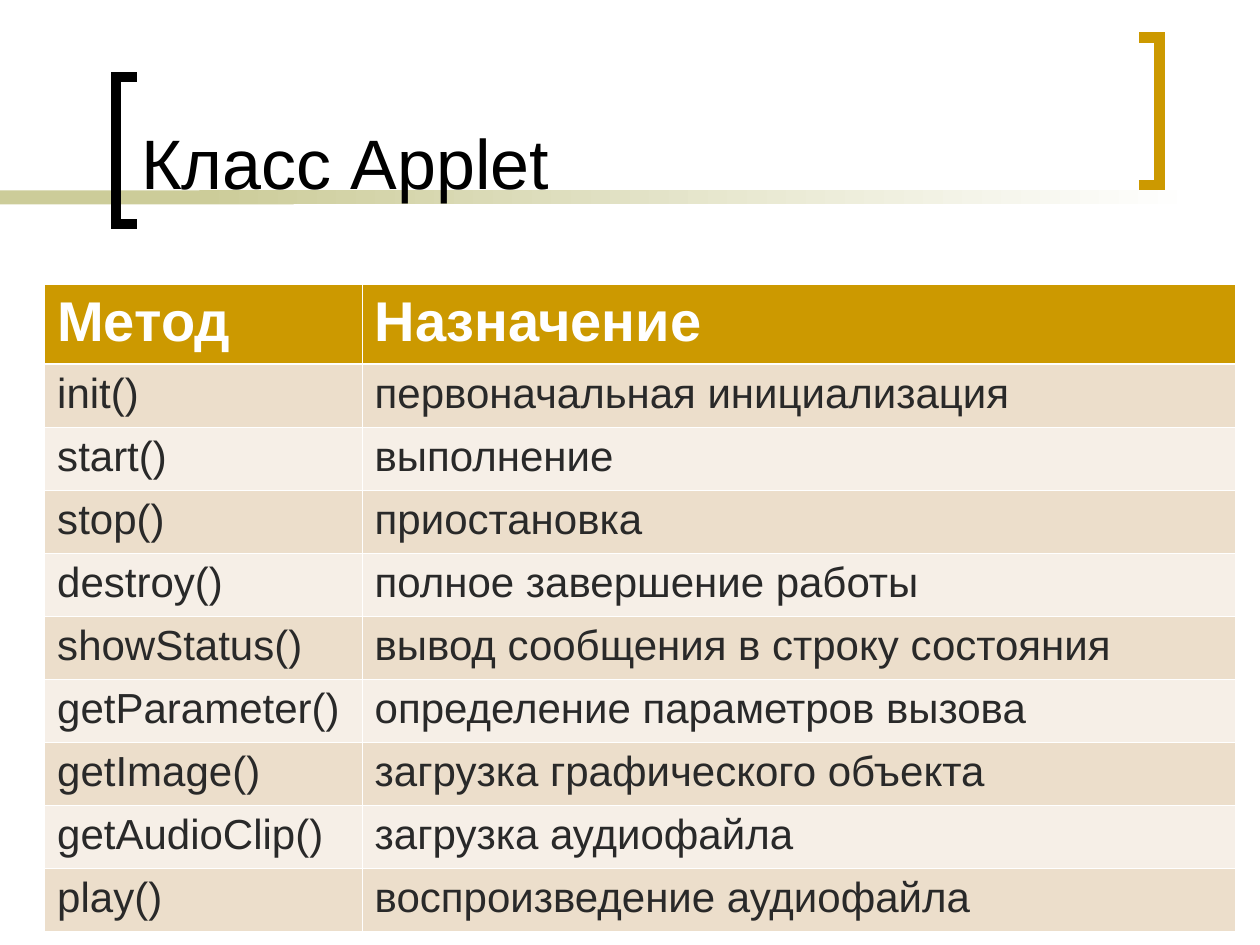
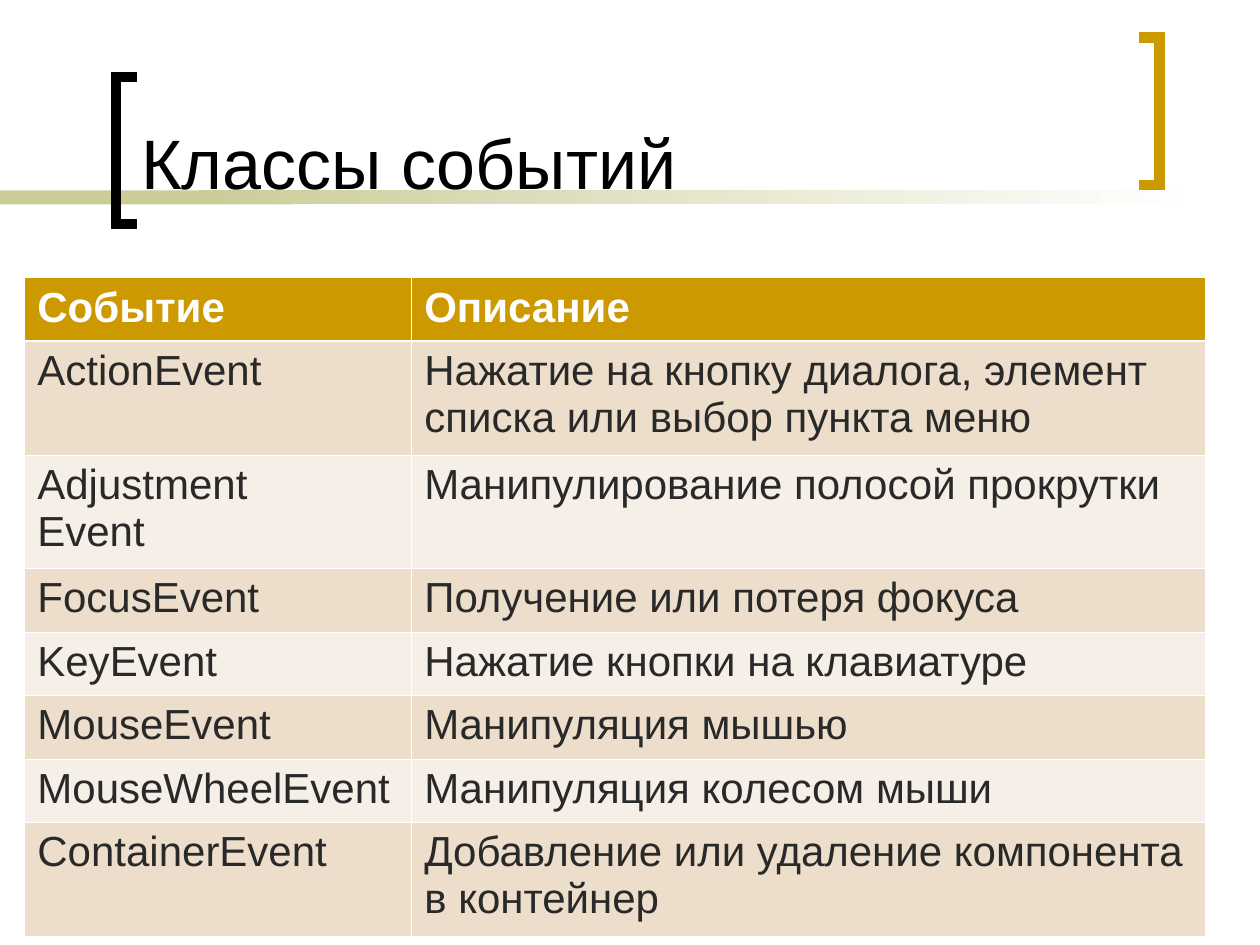
"""Build two slides of Java class tables in a shared bracketed title style."""
from lxml import etree
from pptx import Presentation
from pptx import util as u
from pptx.dml.color import RGBColor
from pptx.enum import shapes, text
from pptx.oxml import ns

BLACK = RGBColor(0x00, 0x00, 0x00)
WHITE = RGBColor(0xFF, 0xFF, 0xFF)
GOLD = RGBColor(0xCC, 0x99, 0x00)
OLIVE = RGBColor(0xCC, 0xCC, 0x99)
INK = RGBColor(0x29, 0x29, 0x29)
SAND = RGBColor(0xEC, 0xDE, 0xCB)
CREAM = RGBColor(0xF6, 0xEF, 0xE7)
FONT = "Arial"
THIN, THICK = 0.45, 1.47

METHODS = [
    ("Метод", "Назначение"),
    ("init()", "первоначальная инициализация"),
    ("start()", "выполнение"),
    ("stop()", "приостановка"),
    ("destroy()", "полное завершение работы"),
    ("showStatus()", "вывод сообщения в строку состояния"),
    ("getParameter()", "определение параметров вызова"),
    ("getImage()", "загрузка графического объекта"),
    ("getAudioClip()", "загрузка аудиофайла"),
    ("play()", "воспроизведение аудиофайла"),
]
EVENTS = [
    ("Событие", "Описание"),
    ("ActionEvent", "Нажатие на кнопку диалога, элемент списка или выбор пункта меню"),
    ("Adjustment\nEvent", "Манипулирование полосой прокрутки"),
    ("FocusEvent", "Получение или потеря фокуса"),
    ("KeyEvent", "Нажатие кнопки на клавиатуре"),
    ("MouseEvent", "Манипуляция мышью"),
    ("MouseWheelEvent", "Манипуляция колесом мыши"),
    ("ContainerEvent", "Добавление или удаление компонента в контейнер"),
]


class Deck:
    def __init__(self):
        self.prs = Presentation()
        self.prs.slide_width, self.prs.slide_height = u.Cm(25.4), u.Cm(19.05)
        self.slide = None

    def page(self, title):
        self.slide = self.prs.slides.add_slide(self.prs.slide_layouts[5])
        self.band(0, 5.92).solid()
        self.slide.shapes[-1].fill.fore_color.rgb = OLIVE
        fade = self.band(4.02, 20.11)
        fade.gradient()
        fade.gradient_angle = 0
        for stop, color in zip(fade.gradient_stops, (OLIVE, WHITE)):
            stop.color.rgb = color
        self.bracket(2.34, 1.55, 0.42, BLACK)
        self.bracket(23.38, 0.76, -0.42, GOLD)
        self.title(title)

    def band(self, left, width):
        bar = self.slide.shapes.add_shape(
            shapes.MSO_SHAPE.RECTANGLE, u.Cm(left), u.Cm(3.84), u.Cm(width), u.Cm(0.28))
        bar.shadow.inherit = False
        bar.line.fill.background()
        return bar.fill

    def bracket(self, spine, top, arm, color):
        tip, low = spine + arm, top + 2.97
        pen = self.slide.shapes.build_freeform(u.Cm(tip), u.Cm(low))
        pen.add_line_segments(
            [(u.Cm(x), u.Cm(y)) for x, y in ((spine, low), (spine, top), (tip, top))],
            close=False)
        shape = pen.convert_to_shape()
        shape.shadow.inherit = False
        shape.fill.background()
        shape.line.color.rgb = color
        shape.line.width = u.Pt(6)
        etree.SubElement(shape.line.fill._xPr, ns.qn("a:miter"), lim="800000")

    def title(self, words):
        box = self.slide.shapes.title
        box.left, box.top = u.Cm(2.59), u.Cm(0.28)
        box.width, box.height = u.Cm(19.89), u.Cm(3.94)
        frame = box.text_frame
        frame.text = words
        frame.auto_size = text.MSO_AUTO_SIZE.NONE
        frame.vertical_anchor = text.MSO_ANCHOR.BOTTOM
        self.style(frame, 40, BLACK)
        box.element.getparent().append(box.element)

    def style(self, frame, size, color, bold=False):
        for para in frame.paragraphs:
            para.alignment = text.PP_ALIGN.LEFT
            for run in para.runs:
                font = run.font
                font.name, font.size, font.bold = FONT, u.Pt(size), bold
                font.color.rgb = color

    def table(self, left, top, cols, highs, data, head):
        grid = self.slide.shapes.add_table(
            len(data), len(cols), u.Cm(left), u.Cm(top),
            u.Cm(sum(cols)), u.Cm(sum(highs))).table
        for col, width in zip(grid.columns, cols):
            col.width = u.Cm(width)
        for i, (row, high, words) in enumerate(zip(grid.rows, highs, data)):
            row.height = u.Cm(high)
            for cell, word in zip(row.cells, words):
                cell.text_frame.text = word
                self.edges(cell, i)
                cell.fill.solid()
                if i == 0:
                    cell.fill.fore_color.rgb = GOLD
                    self.style(cell.text_frame, head, WHITE, True)
                else:
                    cell.fill.fore_color.rgb = SAND if i % 2 else CREAM
                    self.style(cell.text_frame, 24, INK)

    def edges(self, cell, i):
        props = cell._tc.get_or_add_tcPr()
        thick = {0: "B", 1: "T"}.get(i)
        for side in "LRTB":
            width = u.Pt(THICK if side == thick else THIN)
            line = etree.SubElement(props, ns.qn("a:ln" + side), w=str(width))
            fill = etree.SubElement(line, ns.qn("a:solidFill"))
            etree.SubElement(fill, ns.qn("a:srgbClr"), val=str(WHITE))


def main():
    deck = Deck()
    deck.page("Класс Applet")
    deck.table(0.9, 5.74, (6.4, 17.6), [1.6] + [1.27] * 9, METHODS, 32)
    deck.page("Классы событий")
    one, two = 1.28, 2.29
    deck.table(0.5, 5.6, (7.8, 16), [one, two, two] + [one] * 4 + [two], EVENTS, 24)
    deck.prs.save("out.pptx")


if __name__ == "__main__":
    main()
